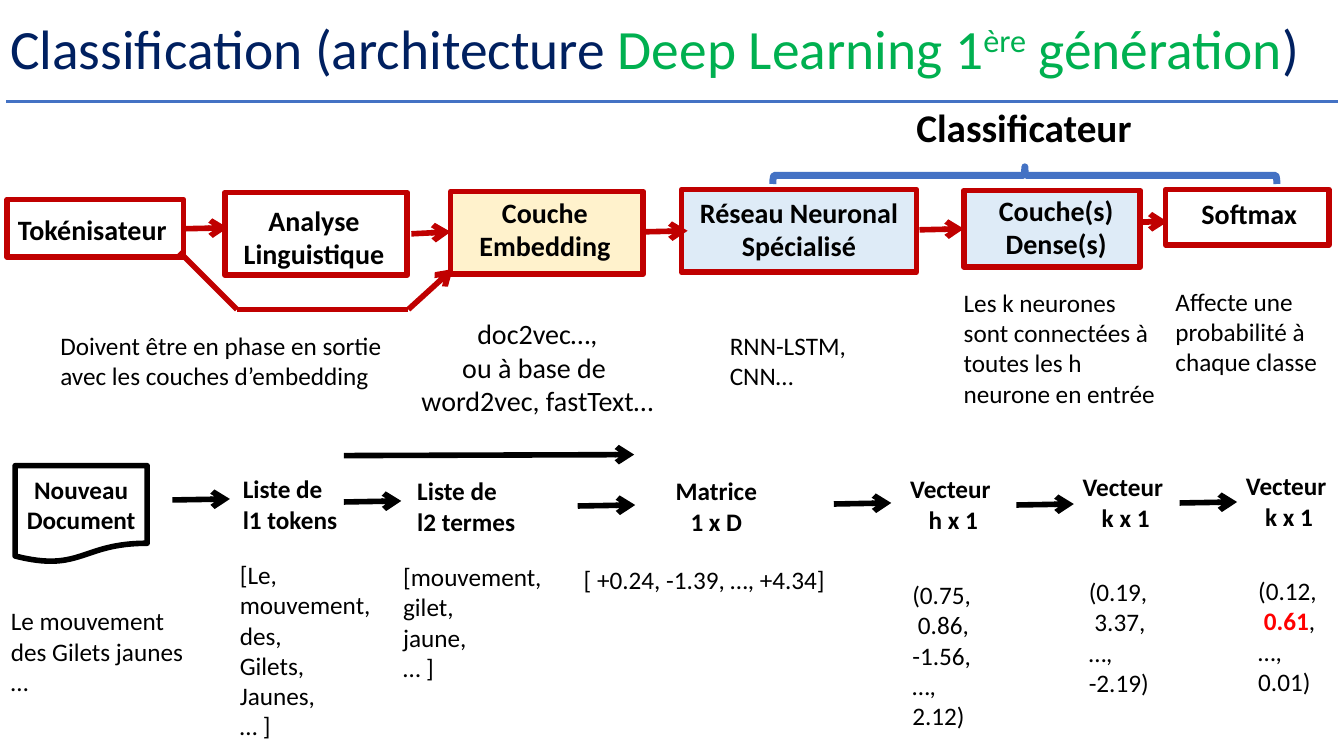
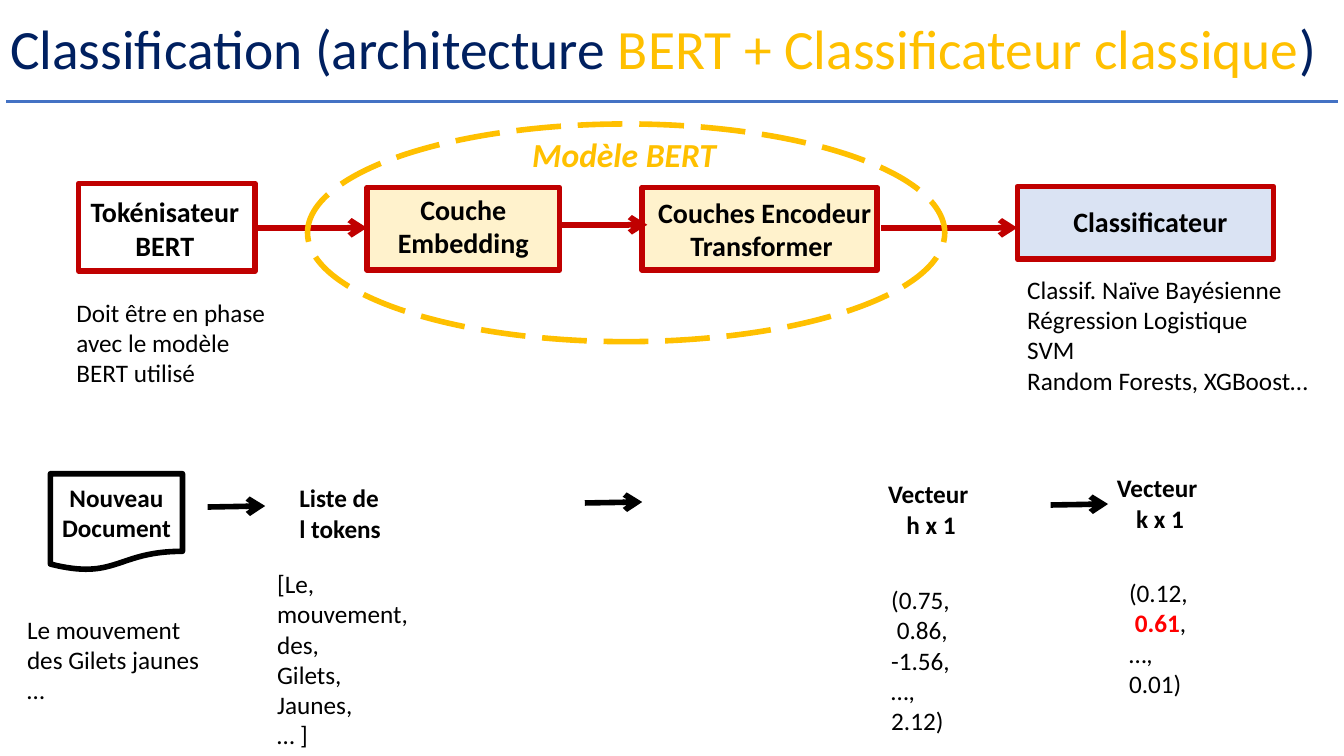
from dataclasses import dataclass
from typing import Any

from lxml.etree import SubElement
from pptx import Presentation
from pptx.dml.color import RGBColor
from pptx.enum.dml import MSO_LINE
from pptx.enum.shapes import MSO_CONNECTOR, MSO_SHAPE as SHAPE
from pptx.enum.text import MSO_ANCHOR as ANCHOR, MSO_AUTO_SIZE as AUTO, PP_ALIGN as ALIGN
from pptx.oxml.ns import qn
from pptx.util import Inches, Pt

COLS, ROWS = 133.3, 75


@dataclass(frozen=True)
class Theme:
    font: str = "Calibri"
    ink: str = "000000"
    paper: str = "FFFFFF"
    navy: str = "002060"
    green: str = "00B050"
    gold: str = "FFC000"
    blue: str = "4472C4"
    red: str = "C00000"
    alert: str = "FF0000"
    cream: str = "FFF2CC"
    sky: str = "DEEBF7"
    ice: str = "DAE3F3"
    title: float = 39.6
    section: float = 28
    model: float = 24
    node: float = 20
    body: float = 18
    stroke: float = 4
    rule: float = 2


T = Theme()


def write(tf, text, size=T.body, color=T.ink, bold=False, italic=False,
          align=ALIGN.LEFT, spacing=None):
    paragraphs = [text] if isinstance(text, str) else text
    for i, runs in enumerate(paragraphs):
        p = tf.paragraphs[0] if i == 0 else tf.add_paragraph()
        p.alignment, p.line_spacing = align, spacing
        for run in [(runs, {})] if isinstance(runs, str) else runs:
            words, own = run
            r = p.add_run()
            r.text = words
            f = r.font
            f.name, f.size, f.italic = T.font, Pt(size), italic
            f.bold = own.get("bold", bold)
            f.color.rgb = RGBColor.from_string(own.get("color", color))
            if "raised" in own:
                r._r.get_or_add_rPr().set("baseline", str(own["raised"] * 1000))


@dataclass
class Deck:
    prs: Any
    s: Any = None

    def x(self, cols):
        return round(self.prs.slide_width * cols / COLS)

    def y(self, rows):
        return round(self.prs.slide_height * rows / ROWS)

    def box(self, at):
        left, top, width, height = at
        return self.x(left), self.y(top), self.x(width), self.y(height)

    def slide(self, *accent):
        layout = self.prs.slide_layouts[5]
        first = self.s is None
        if first:
            sp = layout.placeholders[0]
            sp.left, sp.top, sp.width, sp.height = self.box((0, 1.5, 133.1, 7.2))
            sp.text_frame.vertical_anchor = ANCHOR.MIDDLE
            sp.text_frame.auto_size = AUTO.NONE
        self.s = self.prs.slides.add_slide(layout)
        runs = [("Classification (architecture ", {}), *accent, (")", {})]
        write(self.s.shapes.title.text_frame, [runs], size=T.title, color=T.navy, spacing=0.9)
        if first:
            rule = self.line((0.6, 10.1), (132.7, 10.1), T.blue, T.rule)
            rule.element.nvCxnSpPr.cNvPr.set("id", "99")
            layout.shapes.element.append(rule.element)

    def text(self, left, top, width, height, text, wrap=True, **style):
        tf = self.s.shapes.add_textbox(*self.box((left, top, width, height))).text_frame
        tf.word_wrap, tf.auto_size = wrap, AUTO.SHAPE_TO_FIT_TEXT
        write(tf, text, **style)

    def shape(self, kind, at, line=T.red, fill=None, stroke=T.stroke):
        sp = self.s.shapes.add_shape(kind, *self.box(at))
        sp.shadow.inherit = False
        if fill:
            sp.fill.solid()
            sp.fill.fore_color.rgb = RGBColor.from_string(fill)
        else:
            sp.fill.background()
        sp.line.color.rgb = RGBColor.from_string(line)
        sp.line.width = Pt(stroke)
        return sp

    def node(self, at, text, fill=T.paper, shift=(0, 0)):
        tf = self.shape(SHAPE.RECTANGLE, at, fill=fill).text_frame
        dx, dy = (2 * d for d in shift)
        tf.margin_left, tf.margin_right = self.x(max(dx, 0)), self.x(max(-dx, 0))
        tf.margin_top, tf.margin_bottom = self.y(max(dy, 0)), self.y(max(-dy, 0))
        tf.word_wrap, tf.vertical_anchor = True, ANCHOR.MIDDLE
        write(tf, text, size=T.node, bold=True, align=ALIGN.CENTER)

    def line(self, start, end, color=T.red, width=T.stroke, arrow=False):
        c = self.s.shapes.add_connector(
            MSO_CONNECTOR.STRAIGHT, self.x(start[0]), self.y(start[1]),
            self.x(end[0]), self.y(end[1]))
        c.line.color.rgb = RGBColor.from_string(color)
        c.line.width = Pt(width)
        spPr = c.element.spPr
        if arrow:
            SubElement(spPr.find(qn("a:ln")), qn("a:tailEnd"), type="arrow")
        SubElement(spPr, qn("a:effectLst"))
        return c

    def flow(self, *pairs):
        for start, end in pairs:
            self.line(start, end, arrow=True)

    def hops(self, *starts, length=5.7):
        for x, y in starts:
            self.line((x, y), (x + length, y - 0.1), T.ink, arrow=True)

    def document(self, left, top, caption_left):
        sp = self.shape(SHAPE.FLOWCHART_DOCUMENT, (left, top, 13.1, 9.6), T.ink, T.paper)
        sp.text_frame.word_wrap = True
        sp.text_frame.vertical_anchor = ANCHOR.MIDDLE
        write(sp.text_frame, ["Nouveau", "Document"], bold=True, align=ALIGN.CENTER)
        self.text(caption_left, top + 13.4, 19.7, 10.1, "Le mouvement des Gilets jaunes …")

    def heading(self, left, top, text, width=10.7, align=ALIGN.LEFT):
        self.text(left, top, width, 7.1, text, bold=True, align=align)

    def vector(self, head, size, at, values):
        self.heading(*head, ["Vecteur ", f"{size} x 1"], align=ALIGN.CENTER)
        self.text(*at, 10.2, 3 * len(values) + 1, values)


TOKENS = ["[Le,", "mouvement,", "des,", "Gilets,", "Jaunes,", "… ]"]
HIDDEN = ["(0.75,", " 0.86,", "-1.56,", "…,", "2.12)"]
DENSE = ["(0.19,", " 3.37,", "…,", "-2.19)"]
PROBABILITIES = [
    "(0.12,",
    [(" ", {}), ("0.61", {"color": T.alert, "bold": True}), (",", {})],
    "…,",
    "0.01)",
]
EMBEDDING = ["Couche", "Embedding"]


def deep_learning(d):
    green = {"color": T.green}
    d.slide(("Deep Learning 1", green), ("ère", {**green, "raised": 30}), (" génération", green))

    d.text(89.9, 9.8, 29.5, 5.7, "Classificateur", size=T.section, bold=True)
    d.shape(SHAPE.RIGHT_BRACE, (100.8, -7.6, 1.7, 50), T.blue, stroke=5).rotation = 270

    d.node((0.7, 19.8, 17.5, 5.7), "Tokénisateur", shift=(-0.3, 0.1))
    d.node((22.3, 19.1, 18.1, 8.2), ["Analyse", "Linguistique"], shift=(-0.2, 0.3))
    d.node((44.7, 19, 19.1, 8.2), EMBEDDING, T.cream, (-0.2, -0.4))
    d.node((67.6, 18.8, 23.3, 8.2), "Réseau Neuronal Spécialisé", T.sky, (0, -0.2))
    d.node((95.6, 18.9, 17.5, 7.6), ["Couche(s)", "Dense(s)"], T.sky, (0.4, -0.2))
    d.node((115.6, 18.8, 16.2, 5.5), "Softmax", shift=(0.2, -0.4))
    d.flow(((18.1, 22.7), (22.6, 22.6)), ((40.8, 23.2), (44.7, 23)),
           ((63.8, 23), (68.2, 22.9)), ((91.2, 22.8), (95.6, 22.7)),
           ((112.9, 22), (115.8, 22)))
    bypass = [(17.8, 25), (23.5, 30.7), (40.5, 30.7), (44.9, 26.7)]
    for start, end in zip(bypass, bypass[1:]):
        d.line(start, end, arrow=end == bypass[-1])

    d.text(5, 32.3, 37.9, 7.1, "Doivent être en phase en sortie avec les couches d’embedding")
    d.text(40.5, 30.9, 25.6, 11.1, ["doc2vec…,", "ou à base de ", "word2vec, fastText…"],
           size=T.node, align=ALIGN.CENTER)
    d.text(71.4, 32.3, 15.1, 7.1, ["RNN-LSTM,", "CNN…"])
    d.text(94.6, 28, 21.4, 13.1,
           "Les k neurones sont connectées à toutes les h neurone en entrée")
    d.text(115.6, 27.9, 16.1, 10.1, "Affecte une probabilité à chaque classe")

    d.document(1.5, 46.2, 0.1)
    d.heading(23.1, 46.5, ["Liste de", "l1 tokens"], 13.1)
    d.text(22.8, 55, 15.8, 19.2, TOKENS)
    d.heading(40.4, 46.7, ["Liste de", "l2 termes"], 12.6)
    d.text(39, 55.2, 15.8, 13.1, ["[mouvement,", "gilet,", "jaune,", "… ]"])
    d.heading(65.7, 46.7, "Matrice 1 x D", align=ALIGN.CENTER)
    d.text(56.9, 55.5, 28.5, 4, "[ +0.24, -1.39, …, +4.34]")
    d.vector((89.2, 46.5), "h", (89.5, 57), HIDDEN)
    d.vector((106.3, 46.3), "k", (107, 56.7), DENSE)
    d.vector((122.5, 46.2), "k", (123.8, 56.6), PROBABILITIES)
    d.hops((17.1, 49.6), (34.1, 49.8), (57.3, 50.2), (82.7, 50), (100.8, 50.1), (117, 49.9))
    d.hops((34.1, 45.2), length=28.8)


def bert(d):
    d.slide(("BERT + Classificateur classique", {"color": T.gold}))

    d.node((7.8, 18.2, 17.5, 8.7), ["Tokénisateur", "BERT"], shift=(-0.2, 0.1))
    d.node((36.4, 18.6, 19.1, 8.2), EMBEDDING, T.cream, (0, -0.3))
    d.node((63.7, 18.6, 23.3, 8.2), ["Couches Encodeur", "Transformer "], T.cream, (0.5, 0))
    d.node((100.9, 18.5, 25.4, 7.2), "Classificateur", T.ice, (0.5, -0.1))
    d.flow(((25.2, 22.6), (36.4, 22.6)), ((55.5, 22.3), (64.2, 22.3)),
           ((87.4, 22.6), (100.9, 22.6)))
    d.shape(SHAPE.OVAL, (30.5, 12.3, 63.2, 21.6), T.gold).line.dash_style = MSO_LINE.LONG_DASH
    d.text(51.8, 12.8, 20.4, 5, "Modèle BERT", wrap=False, size=T.model,
           color=T.gold, bold=True, italic=True)

    d.text(6.6, 29, 22, 10.1, "Doit être en phase avec le modèle BERT utilisé")
    d.text(100.9, 26.7, 31.3, 13.1, ["Classif. Naïve Bayésienne", "Régression Logistique",
                                     "SVM", "Random Forests, XGBoost…"])

    d.document(5, 47, 1.7)
    d.heading(28.7, 47.4, ["Liste de", "l tokens"])
    d.text(26.5, 55.9, 15.8, 19.2, TOKENS)
    d.vector((87, 47), "h", (87.4, 57.5), HIDDEN)
    d.vector((109.7, 46.4), "k", (111, 56.8), PROBABILITIES)
    d.hops((20.6, 50.3), (58, 49.9), (104.2, 50.1))


def main():
    prs = Presentation()
    prs.slide_width, prs.slide_height = Inches(13.33), Inches(7.5)
    d = Deck(prs)
    deep_learning(d)
    bert(d)
    prs.save("out.pptx")


if __name__ == "__main__":
    main()
